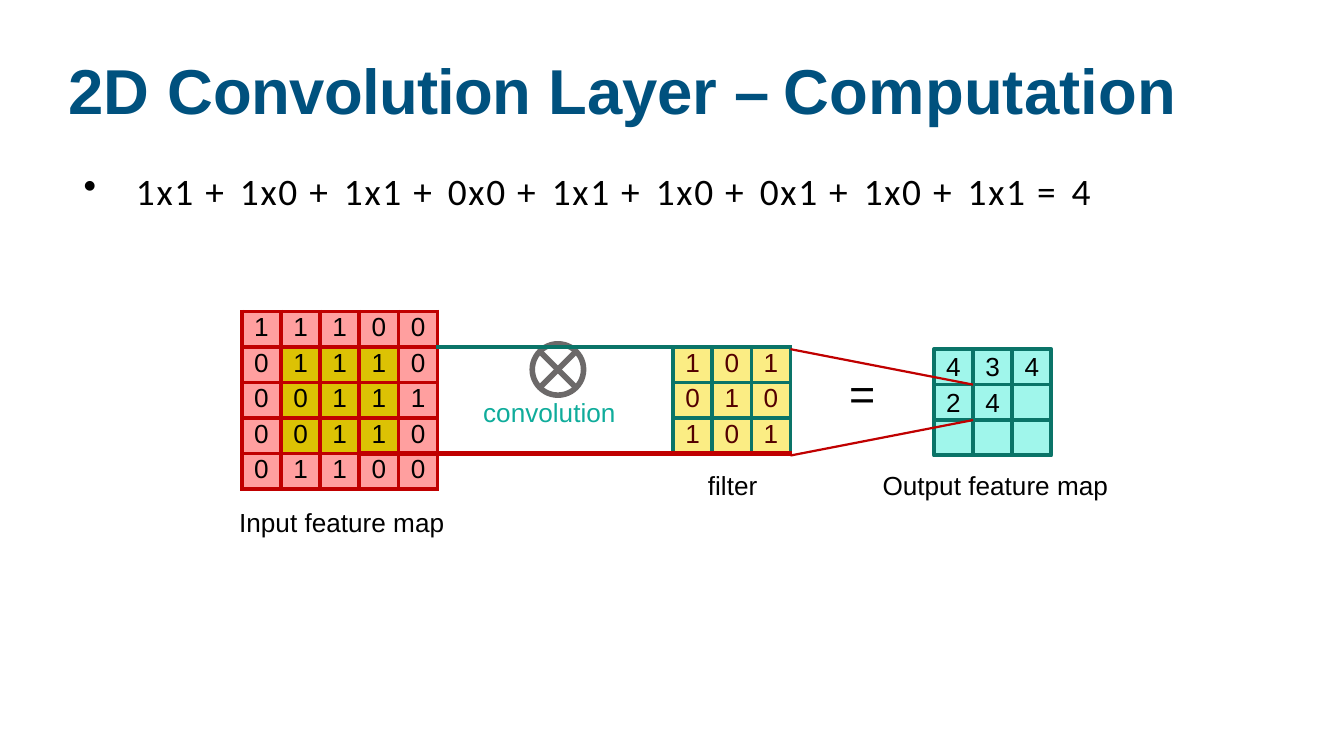
from dataclasses import dataclass

from lxml import etree
from pptx import Presentation
from pptx.dml.color import RGBColor
from pptx.enum.shapes import MSO_CONNECTOR, MSO_SHAPE
from pptx.enum.text import MSO_ANCHOR, PP_ALIGN
from pptx.oxml.ns import qn
from pptx.util import Cm, Pt

CENTER, TOP = PP_ALIGN.CENTER, MSO_ANCHOR.TOP
RECTANGLE, CROSSED_CIRCLE = MSO_SHAPE.RECTANGLE, MSO_SHAPE.FLOWCHART_SUMMING_JUNCTION
STRAIGHT = MSO_CONNECTOR.STRAIGHT


@dataclass(frozen=True)
class Theme:
    title: str = "00517E"
    text: str = "000000"
    filter_text: str = "530000"
    caption: str = "0FAC9B"
    red: str = "C00000"
    teal: str = "0A7468"
    gray: str = "6C6969"
    input_fill: str = "FF9F9F"
    window_fill: str = "DCC204"
    filter_fill: str = "FBED84"
    output_fill: str = "A0F6EB"
    heading_font: str = "Arial"
    body_font: str = "Calibri"
    title_size: int = 34
    body_size: int = 20
    sign_size: int = 24
    label_size: int = 14


THEME = Theme()
CELL_WIDTH, CELL_HEIGHT, GAP_WIDTH = 0.74, 0.67, 4.45
INPUT_MAP = ["11100", "01110", "00111", "00110", "01100"]
FILTER = ["101", "010", "101"]
OUTPUT_MAP = ["434", "24 ", "   "]
GAP = len(INPUT_MAP[0])  # column between the input map and the filter
LAST_ROW = len(INPUT_MAP) - 1
THIN_RED, HEAVY_RED, TEAL = (THEME.red, 2.25), (THEME.red, 3), (THEME.teal, 2.25)


def rgb(value):
    return RGBColor.from_string(value)


def style(paragraph, size, color=THEME.text, font=THEME.heading_font, bold=False):
    paragraph.font.size = Pt(size)
    paragraph.font.name = font
    paragraph.font.bold = bold
    paragraph.font.color.rgb = rgb(color)


def set_margins(target, left=0, top=0.03):
    target.margin_left, target.margin_top = Cm(left), Cm(top)
    target.margin_right = target.margin_bottom = 0


def add_text(slide, box, runs, size, **look):
    """Place one paragraph made of (text, letter spacing) runs."""
    frame = slide.shapes.add_textbox(*map(Cm, box)).text_frame
    frame.word_wrap = True
    set_margins(frame)
    paragraph = frame.paragraphs[0]
    paragraph.space_before = Pt(1)
    for text, spacing in runs:
        run = paragraph.add_run()
        run.text = text
        run._r.get_or_add_rPr().set("spc", str(round(spacing * 100)))
    style(paragraph, size, **look)
    return paragraph


def add_title(slide, box):
    runs = [("2D ", 0.2), ("Convolution ", -0.3), ("Layer ", -0.1), ("– ", -1.9), ("Computation", 0.1)]
    add_text(slide, box, runs, THEME.title_size, color=THEME.title, bold=True)


def add_equation(slide, box):
    terms = "1x1 + 1x0 + 1x1 + 0x0 + 1x1 + 1x0 + 0x1 + 1x0 + 1x1 = 4".split()
    runs = [(term + " ", 2 if term in "+=" else 0.9) for term in terms[:-1]]
    paragraph = add_text(slide, box, runs + [(terms[-1], 1)], THEME.body_size, font=THEME.body_font)
    properties = paragraph._p.get_or_add_pPr()
    properties.set("marL", str(Cm(1.02)))
    properties.set("indent", str(-Cm(0.99)))
    bullet = etree.Element(qn("a:buChar"), char="•")
    properties.insert_element_before(bullet, "a:defRPr")


def cell_edges(row, column):
    """Return the visible borders of a table cell by side."""
    inside = 0 < row < LAST_ROW
    if column < GAP:
        edges = dict.fromkeys("LRTB", THIN_RED)
    elif column > GAP and inside:
        edges = dict.fromkeys("LRTB", TEAL)
    else:
        edges = {"L": THIN_RED} if column == GAP else {}
        if column == GAP and inside:
            edges["R"] = TEAL
        if row == 0:
            edges["B"] = TEAL
        if row == 1:
            edges["T"] = TEAL
    # The heavy line starts under the right part of the input map
    if column >= GAP - 2:
        if row == LAST_ROW - 1:
            edges["B"] = HEAVY_RED
        if row == LAST_ROW:
            edges["T"] = HEAVY_RED
    return edges


def draw_edges(cell, edges):
    properties = cell._tc.get_or_add_tcPr()
    for side in "LRTB":
        line = etree.SubElement(properties, qn(f"a:ln{side}"))
        if side in edges:
            color, width = edges[side]
            line.set("w", str(Pt(width)))
            fill = etree.SubElement(line, qn("a:solidFill"))
            etree.SubElement(fill, qn("a:srgbClr"), val=color)
        else:
            etree.SubElement(line, qn("a:noFill"))


def cell_content(row, column):
    """Return text, fill and font colour of a table cell."""
    if column < GAP:
        in_window = 1 <= row <= 3 and 1 <= column <= 3
        fill = THEME.window_fill if in_window else THEME.input_fill
        return INPUT_MAP[row][column], fill, THEME.text
    if column > GAP and 0 < row < LAST_ROW:
        return FILTER[row - 1][column - GAP - 1], THEME.filter_fill, THEME.filter_text
    if (row, column) == (1, GAP):
        return "convolution", None, THEME.caption
    return "", None, THEME.text


def add_input_and_filter(slide, left, top):
    rows, columns = len(INPUT_MAP), GAP + 1 + len(FILTER)
    width = (columns - 1) * CELL_WIDTH + GAP_WIDTH
    frame = slide.shapes.add_table(rows, columns, Cm(left), Cm(top), Cm(width), Cm(rows * CELL_HEIGHT))
    table = frame.table
    table.first_row = table.horz_banding = False
    for index, column in enumerate(table.columns):
        column.width = Cm(GAP_WIDTH if index == GAP else CELL_WIDTH)
    for row_index, row in enumerate(table.rows):
        row.height = Cm(CELL_HEIGHT)
        for column_index, cell in enumerate(row.cells):
            text, fill, color = cell_content(row_index, column_index)
            draw_edges(cell, cell_edges(row_index, column_index))
            if fill:
                cell.fill.solid()
                cell.fill.fore_color.rgb = rgb(fill)
            else:
                cell.fill.background()
            set_margins(cell)
            cell.vertical_anchor = TOP
            paragraph = cell.text_frame.paragraphs[0]
            paragraph.alignment = CENTER
            if text:
                paragraph.add_run().text = text
            else:
                paragraph._p.get_or_add_endParaRPr().set("sz", "1000")
            style(paragraph, THEME.label_size, color)
    # Caption and empty corners
    caption = table.cell(1, GAP)
    set_margins(caption, left=0.86, top=0.97)
    caption.text_frame.paragraphs[0].alignment = PP_ALIGN.LEFT
    caption.merge(table.cell(LAST_ROW - 1, GAP))
    for row_index in (0, LAST_ROW):
        table.cell(row_index, GAP).merge(table.cell(row_index, columns - 1))
    return left + width


def add_output_map(slide, left, top):
    for row, values in enumerate(OUTPUT_MAP):
        for column, value in enumerate(values):
            x, y = left + column * CELL_WIDTH, top + row * CELL_HEIGHT
            shape = slide.shapes.add_shape(RECTANGLE, Cm(x), Cm(y), Cm(CELL_WIDTH), Cm(CELL_HEIGHT))
            shape.shadow.inherit = False
            shape.fill.solid()
            shape.fill.fore_color.rgb = rgb(THEME.output_fill)
            shape.line.color.rgb = rgb(THEME.teal)
            shape.line.width = Pt(2.04)
            if value.strip():
                frame = shape.text_frame
                set_margins(frame)
                frame.vertical_anchor = TOP
                paragraph = frame.paragraphs[0]
                paragraph.text = value
                paragraph.alignment = CENTER
                paragraph.space_before = Pt(0.7)
                style(paragraph, THEME.label_size)


def add_operator(slide, left, top, size):
    shape = slide.shapes.add_shape(CROSSED_CIRCLE, Cm(left), Cm(top), Cm(size), Cm(size))
    shape.shadow.inherit = False
    shape.fill.background()
    shape.line.color.rgb = rgb(THEME.gray)
    shape.line.width = Pt(3)


def add_projection(slide, start, end):
    line = slide.shapes.add_connector(STRAIGHT, *map(Cm, start + end))
    line.line.color.rgb = rgb(THEME.red)
    line.line.width = Pt(1.2)
    etree.SubElement(line._element.spPr, qn("a:effectLst"))


def add_diagram(slide, left, top):
    output_left, output_top = left + 13.08, top + 0.71
    add_operator(slide, left + 5.49, top + 0.61, 0.97)
    add_output_map(slide, output_left, output_top)
    filter_right = add_input_and_filter(slide, left, top)

    # Lines from the filter to the middle output cell
    for filter_row, output_row in ((0, 1), (3, 2)):
        start = (filter_right, output_top + filter_row * CELL_HEIGHT)
        end = (output_left + CELL_WIDTH, output_top + output_row * CELL_HEIGHT)
        add_projection(slide, start, end)

    # Sign and labels
    add_text(slide, (left + 11.48, top + 0.99, 0.7, 1.09), [("=", 0)], THEME.sign_size)
    for text, x, y, width in (("filter", 8.81, 2.95, 1.3),
                              ("Output feature map", 12.11, 2.95, 4.7),
                              ("Input feature map", -0.05, 3.66, 4.3)):
        add_text(slide, (left + x, top + y, width, 0.66), [(text, 0)], THEME.label_size)


def main():
    presentation = Presentation()
    presentation.slide_width, presentation.slide_height = Cm(25.4), Cm(14.29)
    slide = presentation.slides.add_slide(presentation.slide_layouts[6])
    add_title(slide, (1.29, 0.94, 22, 1.5))
    add_equation(slide, (1.55, 3.15, 20, 0.91))
    add_diagram(slide, 4.57, 5.89)
    presentation.save("out.pptx")


if __name__ == "__main__":
    main()
